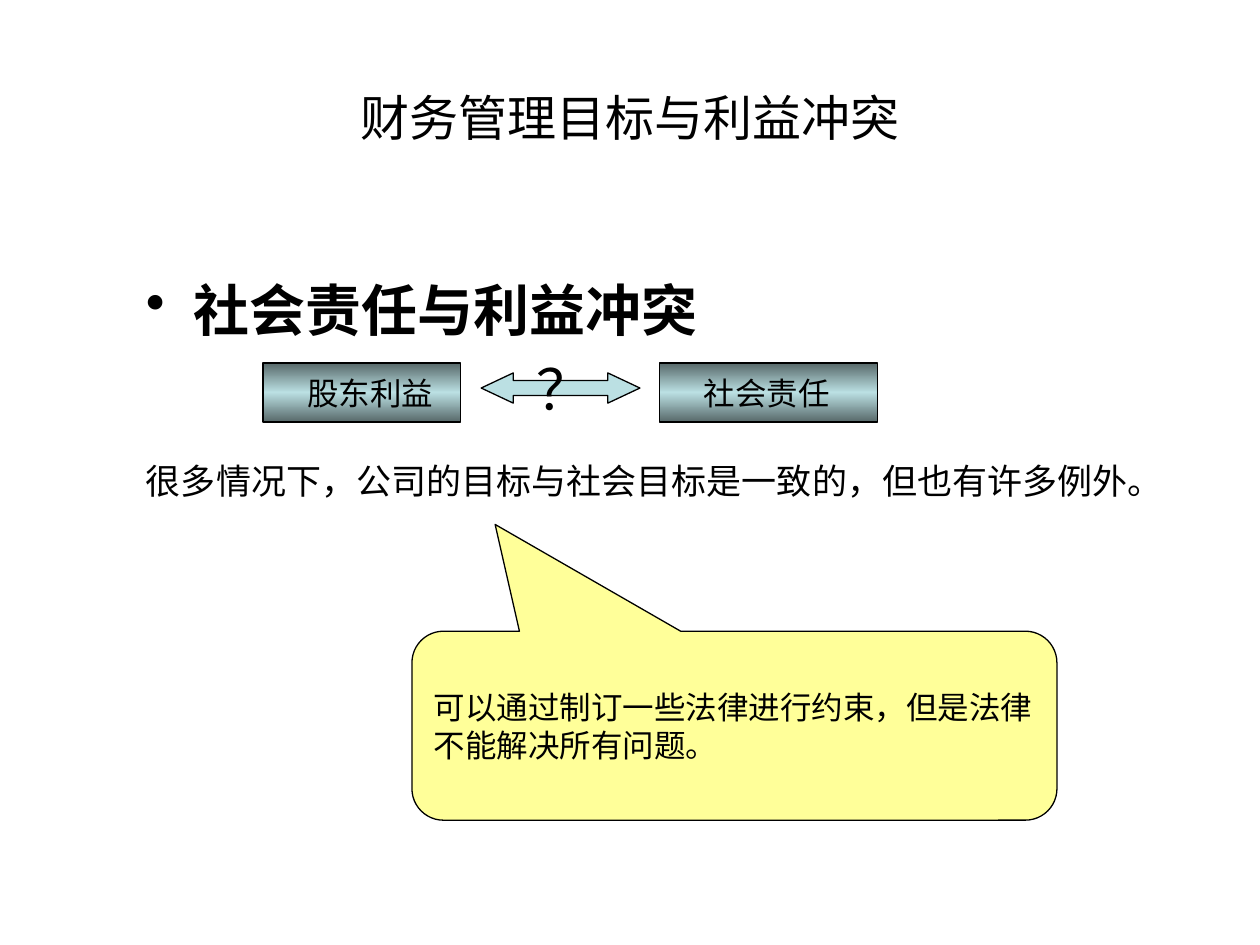
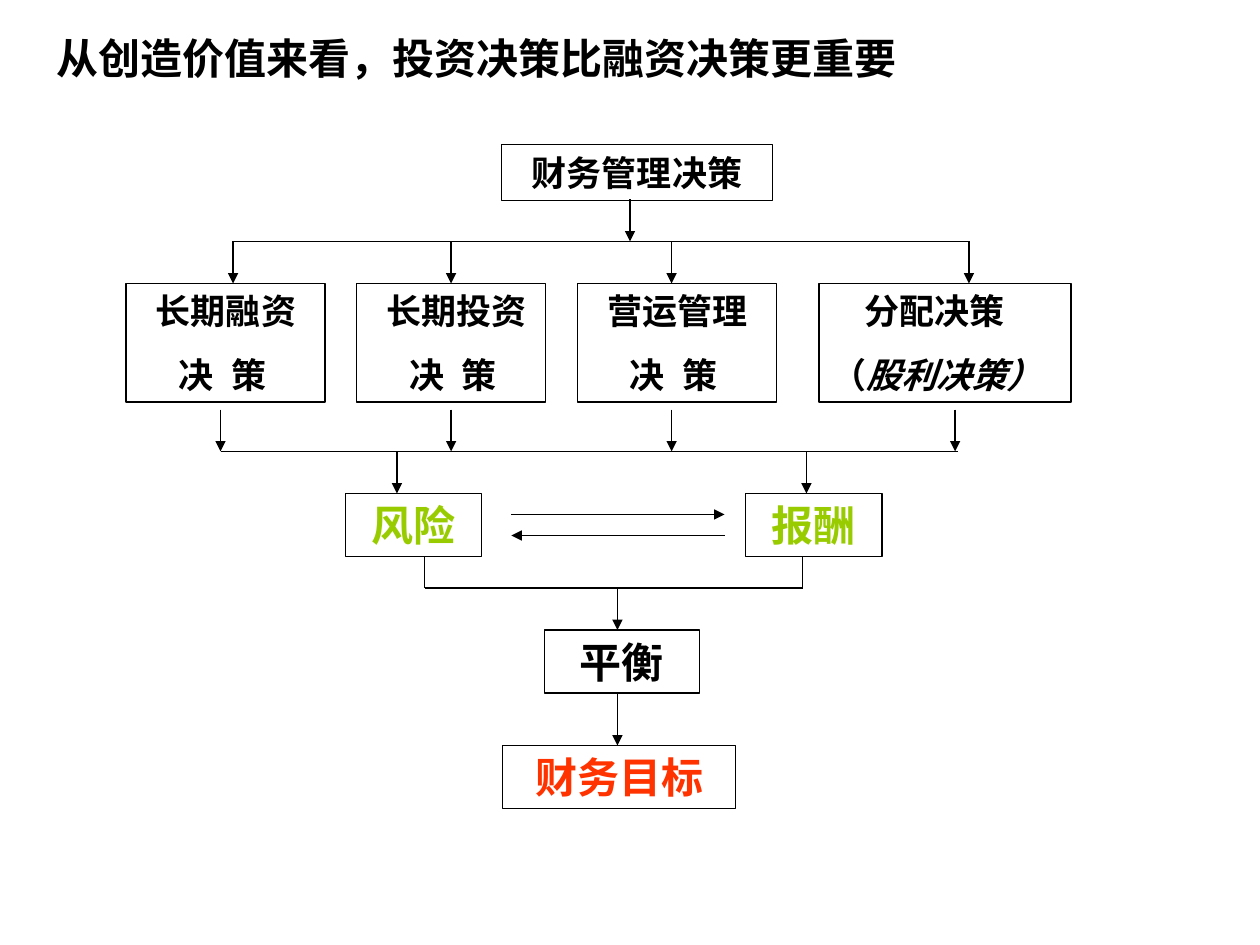
"""Build two slides on financial goals, conflicts of interest and decisions."""
from copy import deepcopy
from dataclasses import dataclass

from pptx import Presentation
from pptx import util as u
from pptx.dml.color import RGBColor
from pptx.enum import shapes, text
from pptx.oxml.ns import qn
from pptx.oxml.xmlchemy import OxmlElement

Pt = u.Pt
SHAPE = shapes.MSO_SHAPE
ALIGN = text.PP_ALIGN
ANCHOR = text.MSO_ANCHOR


@dataclass(frozen=True)
class Theme:
    """Colours, fonts and type sizes of the deck."""
    ink: str = "000000"
    aqua: str = "BBE0E3"
    slate: str = "576869"
    note: str = "FFFF99"
    green: str = "99CC00"
    red: str = "FF3300"
    sans: str = "Arial"
    serif: str = "Times New Roman"
    small: int = 18
    normal: int = 20
    large: int = 24
    title: int = 28
    huge: int = 32
    line: float = 0.75
    inset: float = 7.2


class Painter:
    """Draw styled elements on the current slide."""

    def __init__(self, theme):
        self.theme = theme
        self.deck = Presentation()
        self.deck.slide_width, self.deck.slide_height = Pt(720), Pt(540)
        self.page = None
        self.font = theme.sans

    def start(self, title, area, font, size, bold=False, align=ALIGN.LEFT,
              anchor=ANCHOR.TOP, before=0):
        """Add a slide and set its title."""
        self.page = self.deck.slides.add_slide(self.deck.slide_layouts[5])
        self.font = font
        box = self.page.shapes.title
        box.left, box.top, box.width, box.height = map(Pt, area)
        self.set_words(box, title, size, bold=bold, align=align, anchor=anchor, before=before)

    def style(self, span, size, color, bold=False, italic=False):
        """Format one run."""
        font = span.font
        font.name, font.size, font.bold, font.italic = self.font, Pt(size), bold, italic
        font.color.rgb = RGBColor.from_string(color)

    def set_words(self, box, words, size, color=None, bold=False, align=ALIGN.LEFT,
                  anchor=ANCHOR.MIDDLE, before=0, indent=0, wrap=True):
        """Put text in a box and format its paragraphs."""
        frame = box.text_frame
        frame.text = words
        frame.word_wrap = wrap
        frame.auto_size = text.MSO_AUTO_SIZE.NONE
        frame.vertical_anchor = anchor
        frame.margin_left = Pt(self.theme.inset + indent)
        frame.margin_right = Pt(self.theme.inset)
        frame.margin_top = frame.margin_bottom = Pt(self.theme.inset / 2)
        for para in frame.paragraphs:
            para.alignment, para.space_before = align, Pt(before)
            for span in para.runs:
                self.style(span, size, color or self.theme.ink, bold)

    def label(self, area, words, size, **options):
        """Add a text box."""
        box = self.page.shapes.add_textbox(*map(Pt, area))
        self.set_words(box, words, size, **options)
        return box

    def bullet(self, area, words, size, hang, before):
        """Add a bold bulleted line."""
        box = self.label(area, words, size, bold=True, anchor=ANCHOR.TOP, before=before)
        props = box.text_frame.paragraphs[0]._p.get_or_add_pPr()
        props.set("marL", str(Pt(hang)))
        props.set("indent", str(-Pt(hang)))
        mark = OxmlElement("a:buChar")
        mark.set("char", "•")
        props.append(mark)

    def shape(self, kind, area, words, size, fill=None, adjust=(), **options):
        """Add an outlined shape with text."""
        box = self.page.shapes.add_shape(kind, *map(Pt, area))
        box.shadow.inherit = False
        for index, value in enumerate(adjust):
            box.adjustments[index] = value
        if fill:
            box.fill.solid()
            box.fill.fore_color.rgb = RGBColor.from_string(fill)
        else:
            box.fill.background()
        box.line.color.rgb = RGBColor.from_string(self.theme.ink)
        box.line.width = Pt(self.theme.line)
        self.set_words(box, words, size, **options)
        return box

    def metal(self, area, words, size, **options):
        """Add a rectangle with a dark-light-dark gradient."""
        box = self.shape(SHAPE.RECTANGLE, area, words, size, **options)
        box.fill.gradient()
        box.fill.gradient_angle = 90
        stops = box._element.spPr.find(".//" + qn("a:gsLst"))
        stops.append(deepcopy(stops[0]))
        colors = (self.theme.slate, self.theme.aqua, self.theme.slate)
        for stop, place, color in zip(box.fill.gradient_stops, (0, 0.5, 1), colors):
            stop.position = place
            stop.color.rgb = RGBColor.from_string(color)

    def card(self, area, words, size, color=None, align=ALIGN.CENTER):
        """Add an unfilled box with bold text."""
        return self.shape(SHAPE.RECTANGLE, area, words, size, color=color, bold=True,
                          align=align, anchor=ANCHOR.TOP, before=size * 0.625)

    def line(self, x1, y1, x2, y2, arrow=True):
        """Add a straight line, with an arrowhead at its end if wanted."""
        link = self.page.shapes.add_connector(
            shapes.MSO_CONNECTOR.STRAIGHT, *map(Pt, (x1, y1, x2, y2)))
        link.line.color.rgb = RGBColor.from_string(self.theme.ink)
        link.line.width = Pt(self.theme.line)
        props = link._element.spPr
        if arrow:
            tip = OxmlElement("a:tailEnd")
            tip.set("type", "triangle")
            props.find(qn("a:ln")).append(tip)
        props.append(OxmlElement("a:effectLst"))


def draw_conflict(paint):
    """Draw the slide on social responsibility and conflicts of interest."""
    theme = paint.theme
    paint.start("财务管理目标与利益冲突", (36, 21.6, 648, 90), theme.sans, theme.title,
                align=ALIGN.CENTER, anchor=ANCHOR.MIDDLE)
    paint.bullet((76.3, 154, 607.7, 74), "社会责任与利益冲突", theme.huge, hang=27, before=8)
    paint.label((76.3, 258.5, 600, 31.7), "很多情况下，公司的目标与社会目标是一致的，但也有许多例外。",
                theme.normal, wrap=False)
    paint.shape(SHAPE.ROUNDED_RECTANGULAR_CALLOUT, (235.4, 360.7, 368.6, 108),
                "可以通过制订一些法律进行约束，但是法律不能解决所有问题。", theme.small,
                fill=theme.note, adjust=(-0.371, -1.065, 0.167))
    for left, width, words in ((150.3, 113, "股东利益"), (377, 124.6, "社会责任")):
        paint.metal((left, 207.4, width, 33.8), words, theme.small, indent=theme.small)
    paint.shape(SHAPE.LEFT_RIGHT_ARROW, (275, 213.1, 90.7, 17.3), "？", theme.huge,
                fill=theme.aqua, adjust=(0.5, 1.061), indent=15.5)


def draw_decisions(paint):
    """Draw the slide that leads from decisions to the financial goal."""
    theme = paint.theme
    paint.start("从创造价值来看，投资决策比融资决策更重要", (25.2, 15.1, 527.8, 36),
                theme.serif, theme.large, bold=True, before=15)
    split, decisions, merge, outcomes, balance, goal = 138, 162, 258, 282, 360, 426
    step, height = 24, 36
    join = balance - step
    center = 352.8

    paint.card((286.6, 82.8, 154.8, 31.7), "财务管理决策", theme.normal)
    paint.line(360, split - step, 360, split)

    columns = (
        (72, 113.8, "长期融资\n决\u2002策", (10, 23), 133.2, 126),
        (203.8, 108, "长期投资\n决\u2002策", (10, 23), 257.8, 257.8),
        (329.8, 113.8, "营运管理\n决\u2002策", (10, 23), 383.8, 383.8),
        (468, 144, "分配决策\n（", (19, 0), 553.7, 545.8),
    )
    for left, width, words, indents, enter, leave in columns:
        box = paint.card((left, decisions, width, 67.7), words, theme.normal, align=ALIGN.LEFT)
        for para, indent in zip(box.text_frame.paragraphs, indents):
            props = para._p.get_or_add_pPr()
            props.set("marL", str(Pt(indent)))
            props.set("indent", "0")
        paint.line(enter, split, enter, decisions)
        paint.line(leave, merge - step, leave, merge)
    span = box.text_frame.paragraphs[1].add_run()
    span.text = "股利决策）"
    paint.style(span, theme.normal, theme.ink, bold=True, italic=True)
    paint.line(columns[0][4], split, columns[-1][4], split, arrow=False)
    paint.line(columns[0][5], merge, 547.2, merge, arrow=False)

    legs = ((197.3, "风险", 226.8, 242.6), (426.2, "报酬", 460.8, 458.6))
    for left, words, enter, leave in legs:
        paint.card((left, outcomes, 77.8, height), words, theme.large, theme.green)
        paint.line(enter, merge, enter, outcomes)
        paint.line(leave, outcomes + height, leave, join, arrow=False)
    paint.line(legs[0][3], join, legs[1][3], join, arrow=False)
    paint.line(292.3, 294, 414, 294)
    paint.line(414, 306, 292.3, 306)

    paint.card((311, balance, 88.6, height), "平衡", theme.large)
    paint.card((287.3, goal, 133.2, height), "财务目标", theme.large, theme.red)
    paint.line(center, join, center, balance)
    paint.line(center, balance + height, center, goal)


def main():
    """Build and save the deck."""
    paint = Painter(Theme())
    draw_conflict(paint)
    draw_decisions(paint)
    paint.deck.save("out.pptx")


main()
